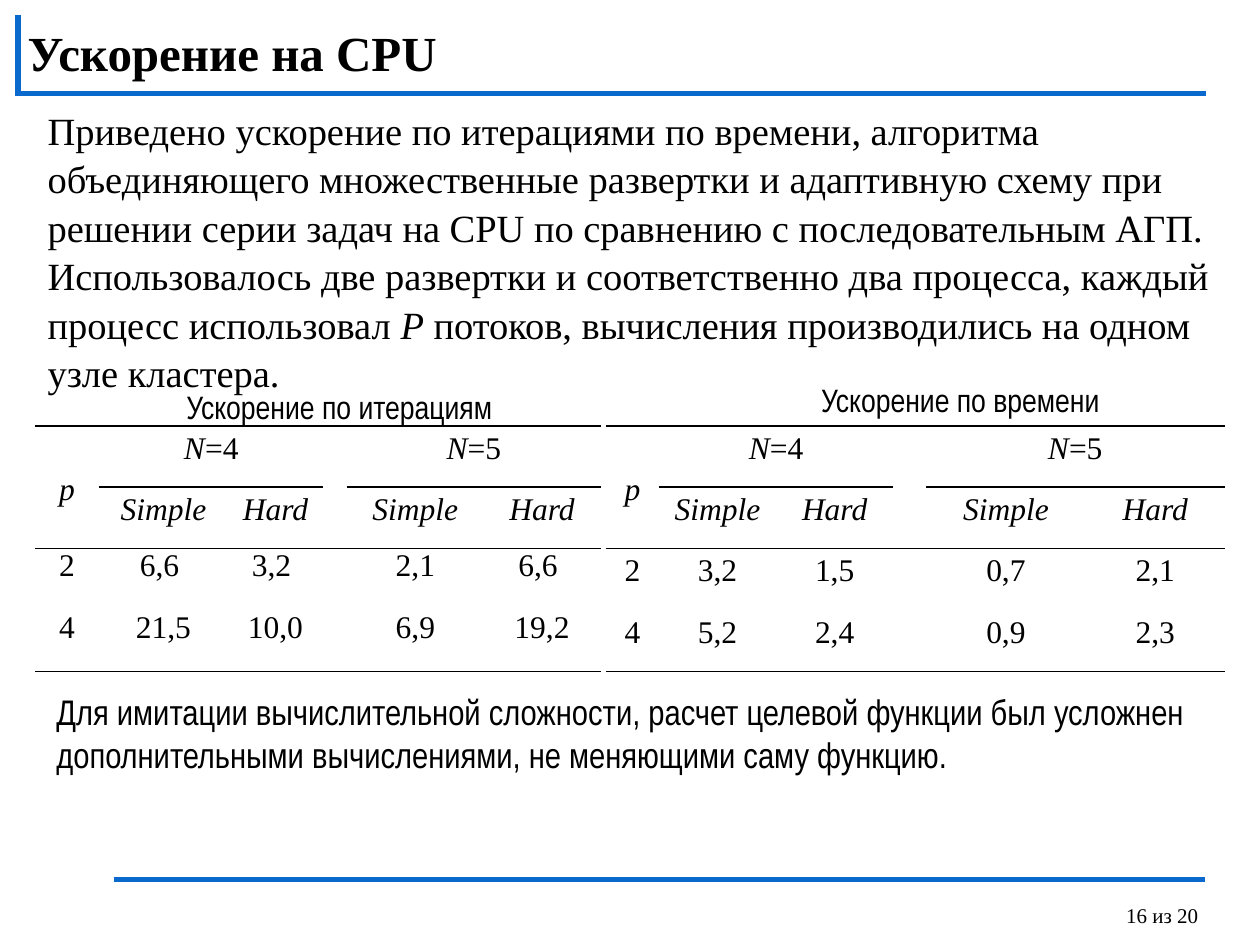
from dataclasses import dataclass

from lxml import etree
from pptx import Presentation
from pptx.dml.color import RGBColor
from pptx.enum import shapes, text
from pptx.oxml import ns
from pptx.util import Pt


@dataclass(frozen=True)
class Theme:
    ink: str = "000000"
    accent: str = "0969CD"
    serif: str = "Times New Roman"
    narrow: str = "Arial Narrow"
    title: float = 28
    body: float = 22
    note: float = 20.3
    caption: float = 18.5
    cell: float = 18
    footer: float = 12
    rule: float = 3
    border: float = 1


class SlideBuilder:
    def __init__(self, prs, theme):
        self.theme = theme
        self.s = prs.slides.add_slide(prs.slide_layouts[1])

    def add_runs(self, p, content, size, font, bold=False):
        """Fill a paragraph; parts between asterisks become italic."""
        for i, part in enumerate(content.split("*")):
            if part:
                r = p.add_run()
                r.text = part
                r.font.size, r.font.name = Pt(size), font
                r.font.bold, r.font.italic = bold, i % 2 == 1
                r.font.color.rgb = RGBColor.from_string(self.theme.ink)

    def place(self, sp, box):
        sp.left, sp.top, sp.width, sp.height = map(Pt, box)
        tf = sp.text_frame
        tf.word_wrap = True
        tf.auto_size = text.MSO_AUTO_SIZE.NONE
        return tf

    def title(self, content, box):
        tf = self.place(self.s.shapes.title, box)
        tf.vertical_anchor = text.MSO_ANCHOR.MIDDLE
        p = tf.paragraphs[0]
        p.alignment = text.PP_ALIGN.LEFT
        self.add_runs(p, content, self.theme.title, self.theme.serif, bold=True)

    def body(self, content, box):
        p = self.place(self.s.placeholders[1], box).paragraphs[0]
        p.line_spacing = 1.05
        pPr = p._p.get_or_add_pPr()
        pPr.set("marL", "0")
        pPr.set("indent", "0")
        etree.SubElement(pPr, ns.qn("a:buNone"))
        self.add_runs(p, content, self.theme.body, self.theme.serif)

    def label(self, content, box, size, font, spacing=None):
        sp = self.s.shapes.add_textbox(*map(Pt, box))
        p = self.place(sp, box).paragraphs[0]
        p.line_spacing = spacing
        self.add_runs(p, content, size, font)

    def line(self, x1, y1, x2, y2):
        c = self.s.shapes.add_connector(
            shapes.MSO_CONNECTOR.STRAIGHT, *map(Pt, (x1, y1, x2, y2)))
        c.line.color.rgb = RGBColor.from_string(self.theme.accent)
        c.line.width = Pt(self.theme.rule)
        etree.SubElement(c._element.spPr, ns.qn("a:effectLst"))

    def borders(self, cell, top, bottom):
        """Draw only the wanted horizontal borders of a cell."""
        tcPr = cell._tc.get_or_add_tcPr()
        sides = {"lnL": False, "lnR": False, "lnT": top, "lnB": bottom}
        for i, (tag, shown) in enumerate(sides.items()):
            ln = etree.Element(ns.qn(f"a:{tag}"))
            if shown:
                ln.set("w", str(Pt(self.theme.border)))
                fill = etree.SubElement(ln, ns.qn("a:solidFill"))
                etree.SubElement(fill, ns.qn("a:srgbClr"), val=self.theme.ink)
            else:
                ln.set("w", "0")
                etree.SubElement(ln, ns.qn("a:noFill"))
            tcPr.insert(i, ln)

    def table(self, left, top, widths, row_height, data, inset, data_spacing):
        """Add a speed-up table: two header rows over the data rows."""
        rows = HEADER + data
        count = len(rows)
        t = self.s.shapes.add_table(
            count, len(widths), Pt(left), Pt(top),
            Pt(sum(widths)), Pt(row_height * count)).table
        t.first_row = t.horz_banding = False
        for col, width in zip(t.columns, widths):
            col.width = Pt(width)
        for row in t.rows:
            row.height = Pt(row_height)
        t.cell(0, 0).merge(t.cell(1, 0))
        for c in (1, 4):
            t.cell(0, c).merge(t.cell(0, c + 1))

        def ruled(edge, c):
            return edge in (0, 2, count) or (edge == 1 and c not in (0, 3))

        for r, row in enumerate(rows):
            for c, content in enumerate(row):
                cell = t.cell(r, c)
                cell.margin_left = cell.margin_right = Pt(inset)
                cell.margin_top = cell.margin_bottom = 0
                cell.fill.background()
                height = cell.span_height if cell.is_merge_origin else 1
                self.borders(cell, ruled(r, c), ruled(r + height, c))
                if content:
                    p = cell.text_frame.paragraphs[0]
                    p.alignment = text.PP_ALIGN.CENTER
                    p.line_spacing = 1.15 if r < len(HEADER) else data_spacing
                    self.add_runs(p, content, self.theme.cell, self.theme.serif)
        t.cell(0, 0).vertical_anchor = text.MSO_ANCHOR.MIDDLE


HEADER = [
    ["*p*", "*N*=4", "", "", "*N*=5", ""],
    ["", "*Simple*", "*Hard*", "", "*Simple*", "*Hard*"],
]
BY_ITERATIONS = [
    ["2", "6,6 ", "3,2 ", "", "2,1", "6,6 "],
    ["4", "21,5", "10,0", "", "6,9", "19,2"],
]
BY_TIME = [
    ["2", "3,2", "1,5", "", "0,7", "2,1"],
    ["4", "5,2", "2,4", "", "0,9", "2,3"],
]


def main():
    prs = Presentation()
    prs.slide_width, prs.slide_height = Pt(720), Pt(540)
    th = Theme()
    b = SlideBuilder(prs, th)

    b.label("16 из 20", (636.5, 504.7, 83.5, 35.3), th.footer, th.serif, 1.5)
    b.line(65, 502.5, 688.5, 502.5)
    b.line(8.8, 53.4, 689, 53.4)
    b.line(10.3, 8.6, 10.3, 54)

    b.body("Приведено ускорение по итерациями по времени, алгоритма "
           "объединяющего множественные развертки и адаптивную схему при "
           "решении серии задач на CPU по сравнению с последовательным АГП. "
           "Использовалось две развертки и соответственно два процесса, "
           "каждый процесс использовал *P* потоков, вычисления производились "
           "на одном узле кластера.", (20, 56.2, 680.4, 361.4))
    b.title("Ускорение на CPU", (8.6, 11.5, 612, 36))

    b.table(20, 243.3, (36.7, 73.4, 54.7, 13.7, 77.8, 67), 35.1,
            BY_ITERATIONS, 5.4, 1.0)
    b.table(346.3, 243.3, (30.2, 67, 67, 18.7, 91.4, 79.2), 35.1,
            BY_TIME, 5, 1.15)
    b.label("Ускорение по итерациям", (99.4, 217.4, 224.6, 29.5),
            th.caption, th.narrow)
    b.label("Ускорение по времени", (462.2, 213.8, 204.5, 51.8),
            th.caption, th.narrow)
    b.label("Для имитации вычислительной сложности, расчет целевой функции "
            "был усложнен дополнительными вычислениями, не меняющими саму "
            "функцию.", (25.2, 391, 674.6, 81.4), th.note, th.narrow)
    prs.save("out.pptx")


if __name__ == "__main__":
    main()
